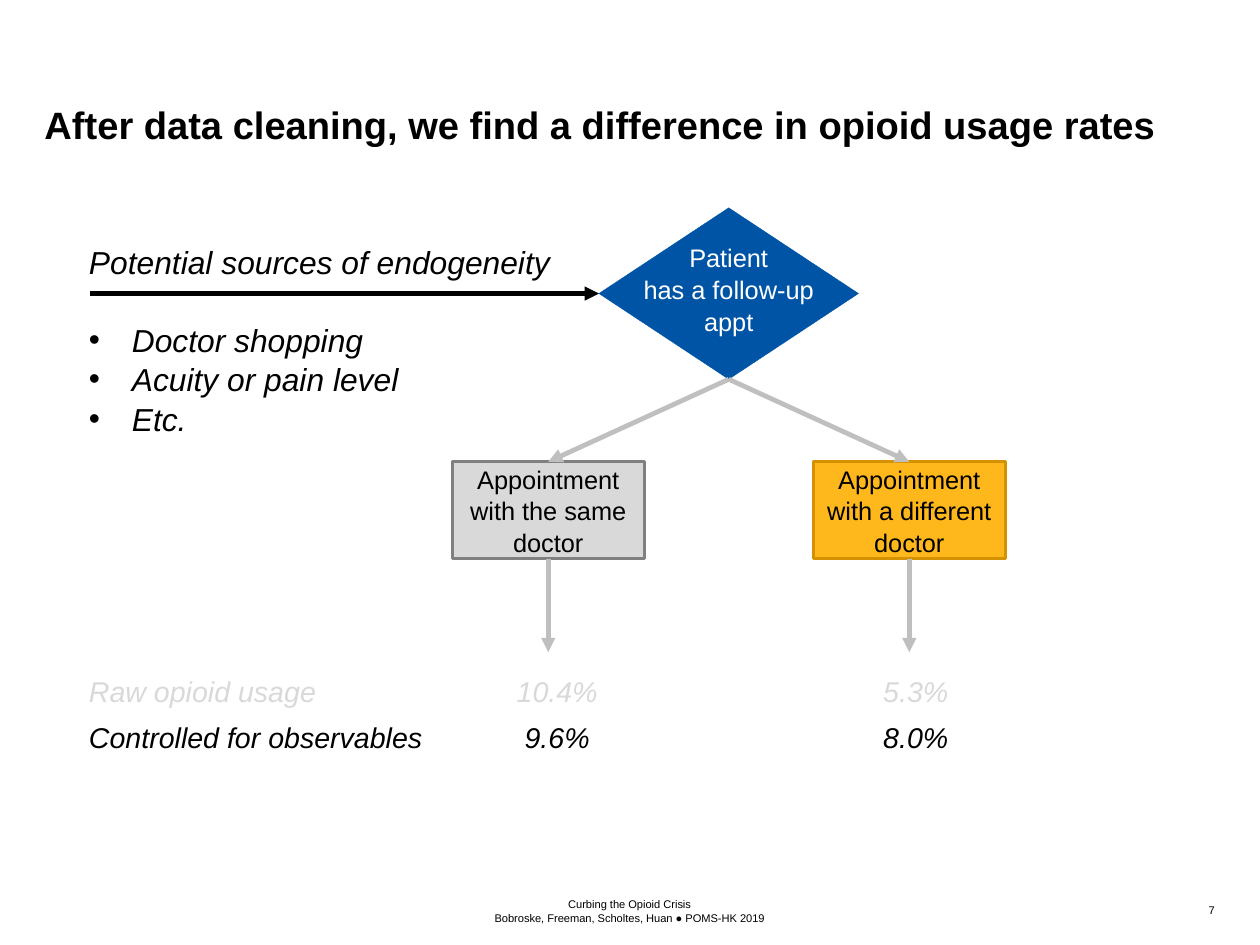
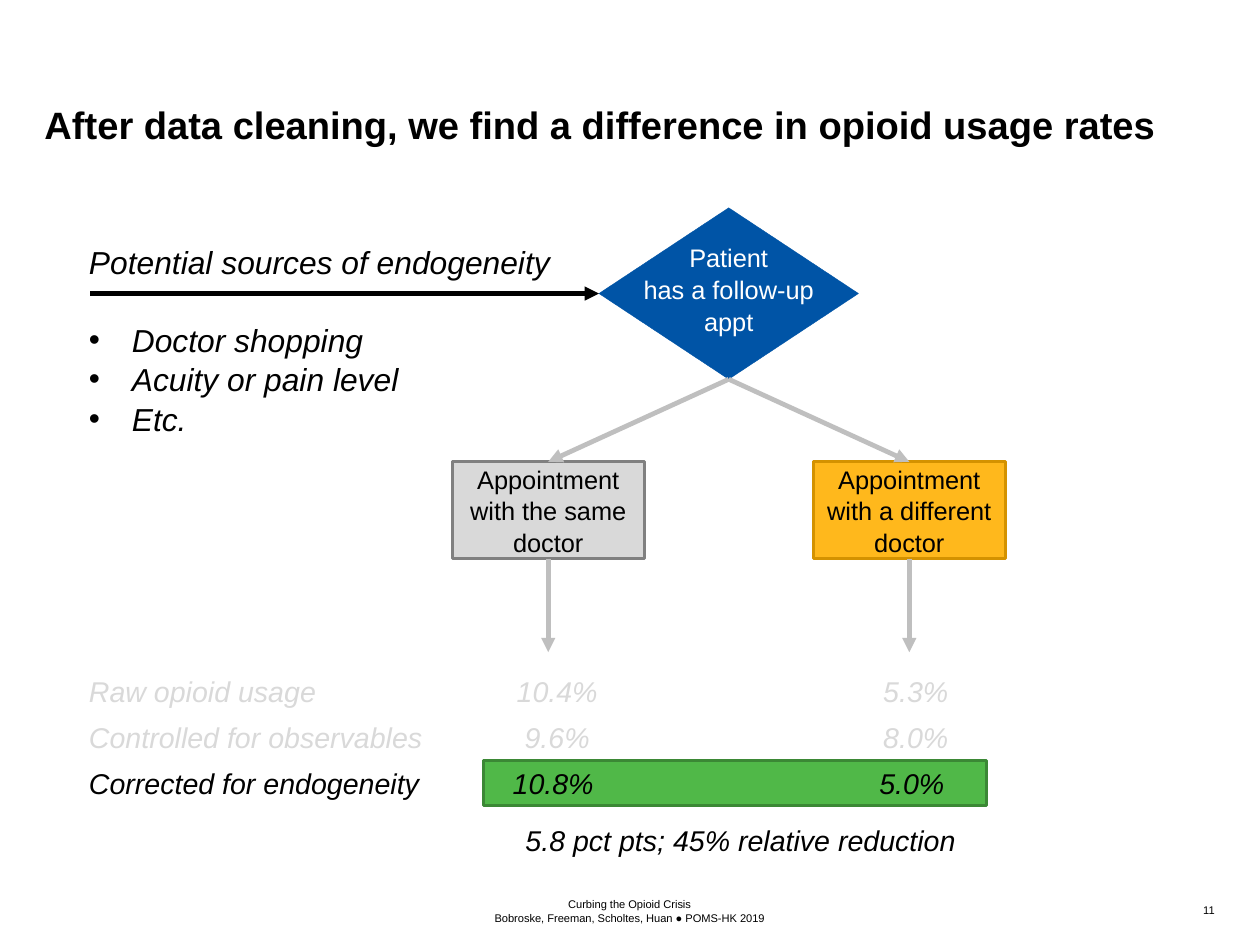
from lxml import etree
from pptx import Presentation
from pptx.dml.color import RGBColor
from pptx.enum.shapes import MSO_CONNECTOR, MSO_SHAPE
from pptx.enum.text import MSO_ANCHOR, MSO_AUTO_SIZE, PP_ALIGN
from pptx.oxml.ns import qn
from pptx.util import Pt

RECTANGLE, DECISION = MSO_SHAPE.RECTANGLE, MSO_SHAPE.FLOWCHART_DECISION
STRAIGHT = MSO_CONNECTOR.STRAIGHT
LEFT, CENTER, RIGHT = PP_ALIGN.LEFT, PP_ALIGN.CENTER, PP_ALIGN.RIGHT
TOP, MIDDLE, BOTTOM = MSO_ANCHOR.TOP, MSO_ANCHOR.MIDDLE, MSO_ANCHOR.BOTTOM
SITE_TOP, SITE_LEFT, SITE_BOTTOM = 0, 1, 2

FONT = "Arial"
BLACK, WHITE = "000000", "FFFFFF"
BLUE, GREEN, DARK_GREEN = "0054A6", "50B848", "3B8835"
ARROW_GRAY, FADED_GRAY = "BFBFBF", "D9D9D9"

TITLE = "After data cleaning, we find a difference in opioid usage rates"
FOOTER = "Curbing the Opioid Crisis\nBobroske, Freeman, Scholtes, Huan ● POMS-HK 2019"
SOURCES = "Potential sources of endogeneity\nDoctor shopping\nAcuity or pain level\nEtc."
INSETS = (7.2, 3.6, 7.2, 3.6)

# text, centre, fill, line
APPOINTMENTS = [
    ("Appointment with the same doctor", 345.5, "D9D9D9", "808080"),
    ("Appointment with a different doctor", 573, "FFB81C", "D49200"),
]
BOX_TOP, BOX_WIDTH, BOX_HEIGHT = 291, 121, 61
ARROW_END = 411

# label and rates, tab stops
USAGE_ROWS = [
    ("Raw opioid usage\t10.4%\t5.3%", (295, 521)),
    ("Controlled for observables\t9.6%\t8.0%", (295, 521)),
    ("Corrected for endogeneity\t10.8%\t5.0%", (292.5, 518.5)),
]
ROWS_TOP, ROW_STEP = 421, 29

# slide number, usage rows shown
SLIDES = [("7", 2), ("11", 3)]


def paint(fill, color):
    fill.solid()
    fill.fore_color.rgb = RGBColor.from_string(color)


def write(shape, text, size, color=BLACK, bold=False, italic=False, align=LEFT,
          anchor=TOP, insets=INSETS, wrap=True, spacing=None):
    """Fill the shape with one paragraph for each line of text."""
    frame = shape.text_frame
    frame.auto_size = MSO_AUTO_SIZE.NONE
    frame.word_wrap = wrap
    frame.vertical_anchor = anchor
    (frame.margin_left, frame.margin_top,
     frame.margin_right, frame.margin_bottom) = map(Pt, insets)
    for index, line in enumerate(text.split("\n")):
        para = frame.add_paragraph() if index else frame.paragraphs[0]
        para.alignment = align
        para.line_spacing = spacing
        span = para.add_run()
        span.text = line
        span.font.name = FONT
        span.font.size = Pt(size)
        span.font.bold = bold
        span.font.italic = italic
        paint(span.font.fill, color)


deck = Presentation()
deck.slide_width, deck.slide_height = Pt(794), Pt(595.5)
title_only = deck.slide_layouts[5]

for number, row_count in SLIDES:
    page = deck.slides.add_slide(title_only)
    shapes = page.shapes

    title = shapes.title
    title.left, title.top, title.width, title.height = Pt(28), Pt(42), Pt(737.5), Pt(56.5)
    write(title, TITLE, 24, bold=True, anchor=BOTTOM, insets=(0, 0, 0, 6))

    # Decision and its two outcomes
    decision = shapes.add_shape(DECISION, Pt(377.5), Pt(131), Pt(163.5), Pt(108))
    decision.shadow.inherit = False
    paint(decision.fill, BLUE)
    paint(decision.line.fill, BLUE)
    decision.line.width = Pt(0.25)
    write(decision, "Patient\nhas a follow-up\nappt", 16, WHITE, align=CENTER,
          anchor=MIDDLE, insets=(0, 0, 0, 6), wrap=False, spacing=1.04)

    # Arrows: color, start, end, joined start, joined end
    arrows = [(BLACK, (57, 185), (377.5, 185), None, (decision, SITE_LEFT))]
    for text, center, fill, outline in APPOINTMENTS:
        box = shapes.add_shape(RECTANGLE, Pt(center - BOX_WIDTH / 2), Pt(BOX_TOP),
                               Pt(BOX_WIDTH), Pt(BOX_HEIGHT))
        box.shadow.inherit = False
        paint(box.fill, fill)
        paint(box.line.fill, outline)
        box.line.width = Pt(2)
        write(box, text, 16, align=CENTER, anchor=MIDDLE, spacing=1.04)
        box_bottom = BOX_TOP + BOX_HEIGHT
        arrows += [
            (ARROW_GRAY, (459.25, 239), (center, BOX_TOP),
             (decision, SITE_BOTTOM), (box, SITE_TOP)),
            (ARROW_GRAY, (center, box_bottom), (center, ARROW_END),
             (box, SITE_BOTTOM), None),
        ]

    for color, start, end, joined_start, joined_end in arrows:
        arrow = shapes.add_connector(STRAIGHT, *map(Pt, start + end))
        if joined_start:
            arrow.begin_connect(*joined_start)
        if joined_end:
            arrow.end_connect(*joined_end)
        paint(arrow.line.fill, color)
        arrow.line.width = Pt(3)
        etree.SubElement(arrow.line._get_or_add_ln(), qn("a:tailEnd"), type="triangle")
        etree.SubElement(arrow._element.spPr, qn("a:effectLst"))

    # Sources of endogeneity
    sources = shapes.add_textbox(Pt(49), Pt(148.5), Pt(313), Pt(128))
    write(sources, SOURCES, 20, italic=True, wrap=False, spacing=1.04)
    bullets = sources.text_frame.paragraphs[1:]
    bullets[0].space_before = Pt(24)
    for para in bullets:
        properties = para._p.get_or_add_pPr()
        properties.set("marL", str(Pt(27)))
        properties.set("indent", str(Pt(-27)))
        etree.SubElement(properties, qn("a:buFont"), typeface=FONT)
        etree.SubElement(properties, qn("a:buChar"), char="•")

    # Usage rates, the newest row in black
    corrected = row_count == len(USAGE_ROWS)
    if corrected:
        band = shapes.add_shape(RECTANGLE, Pt(304.5), Pt(479.5), Pt(317), Pt(28))
        band.shadow.inherit = False
        paint(band.fill, GREEN)
        paint(band.line.fill, DARK_GREEN)
        band.line.width = Pt(2)
        summary = shapes.add_textbox(Pt(312), Pt(515), Pt(309.5), Pt(29))
        write(summary, "5.8 pct pts; 45% relative reduction", 18, italic=True, align=CENTER)
    for index, (text, stops) in enumerate(USAGE_ROWS[:row_count]):
        row = shapes.add_textbox(Pt(49), Pt(ROWS_TOP + index * ROW_STEP), Pt(728.5), Pt(ROW_STEP))
        write(row, text, 18, BLACK if index == row_count - 1 else FADED_GRAY, italic=True)
        properties = row.text_frame.paragraphs[0]._p.get_or_add_pPr()
        tabs = etree.SubElement(properties, qn("a:tabLst"))
        for stop in stops:
            etree.SubElement(tabs, qn("a:tab"), pos=str(Pt(stop)), algn="ctr")

    # Footer and slide number
    footer = shapes.add_textbox(Pt(216), Pt(565), Pt(361.5), Pt(17.5))
    write(footer, FOOTER, 7, align=CENTER, anchor=BOTTOM, insets=(0, 0, 0, 0))
    page_number = shapes.add_textbox(Pt(633), Pt(569), Pt(132.5), Pt(11.5))
    write(page_number, number, 7, align=RIGHT, insets=(0, 0, 0, 0))

deck.save("out.pptx")
